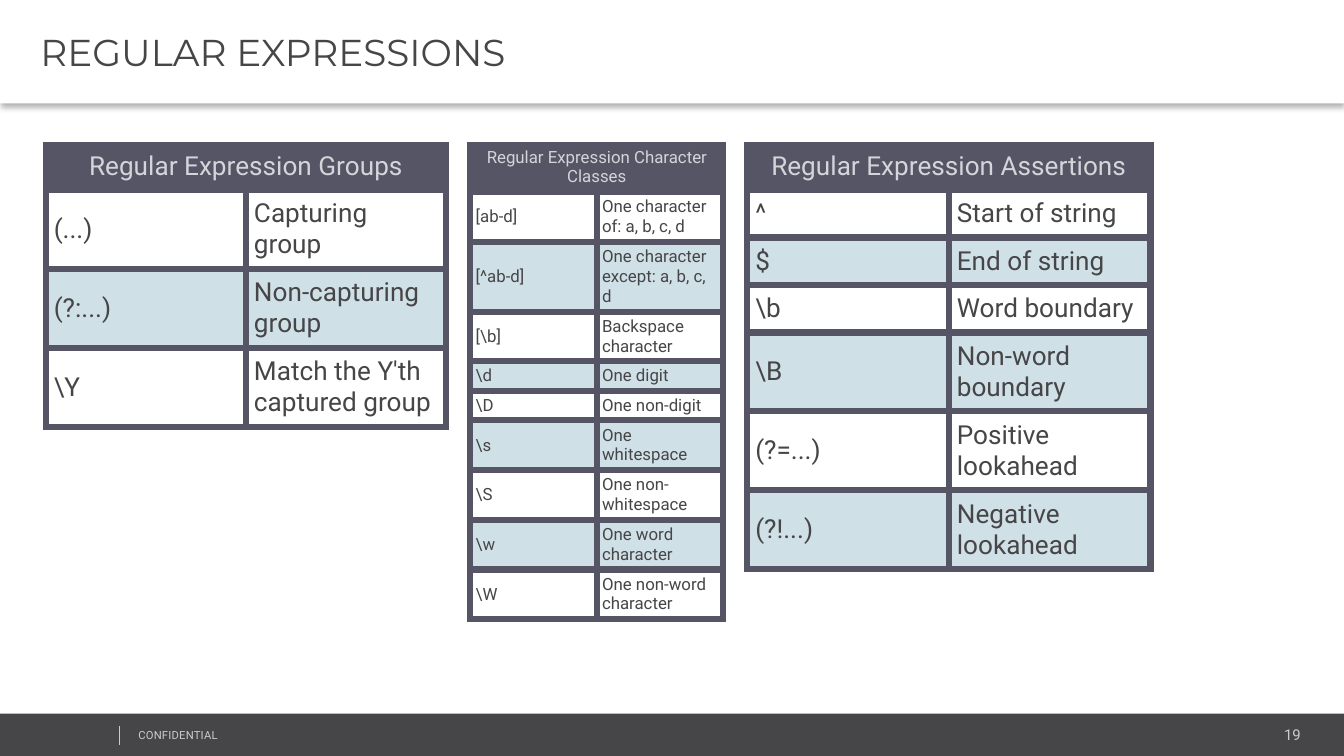
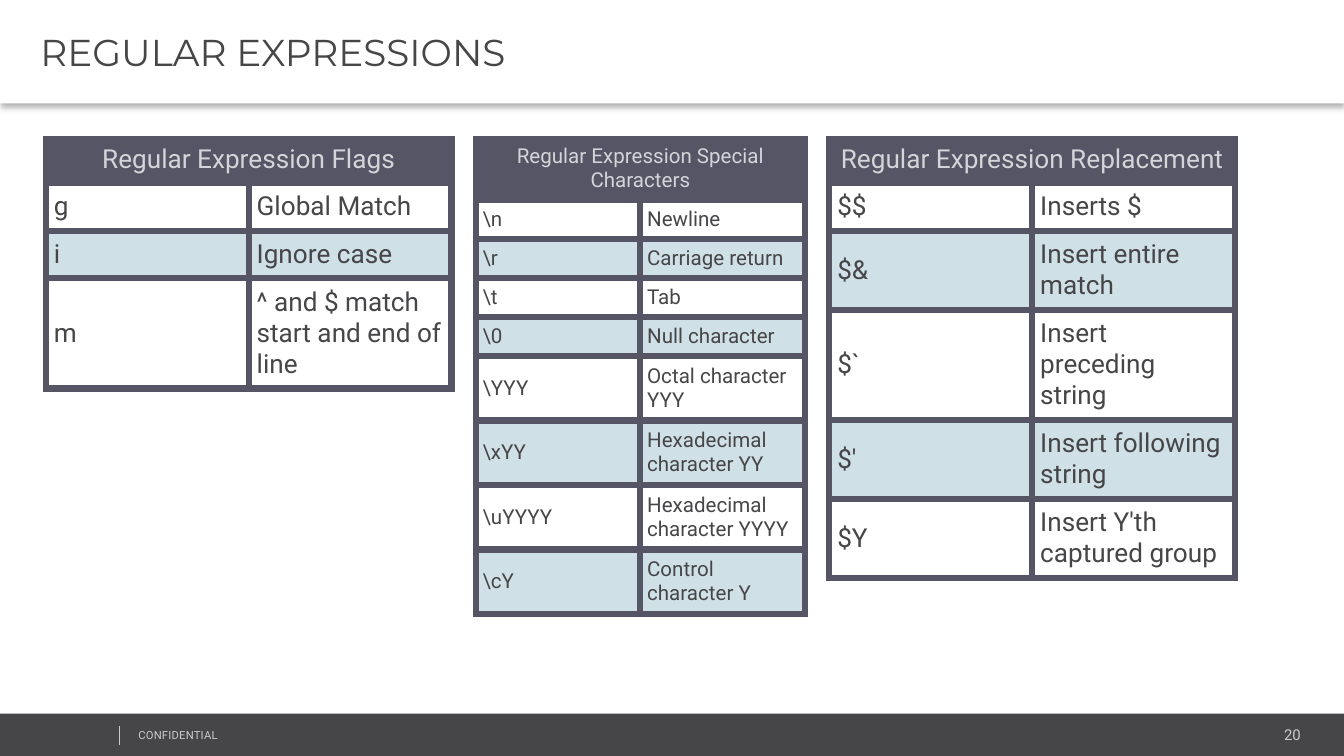
from dataclasses import dataclass

from lxml import etree
from pptx import Presentation
from pptx import util as u
from pptx.dml.color import RGBColor
from pptx.enum import shapes, text
from pptx.oxml import ns

In, Pt = u.Inches, u.Pt


@dataclass(frozen=True)
class Theme:
    white: str = "FFFFFF"
    dark: str = "464547"
    pale: str = "CCCCCC"
    head: str = "555566"
    label: str = "D4D4D9"
    tint: str = "D0E0E7"
    title_font: str = "Montserrat"
    font: str = "Roboto"
    title_size: int = 20
    page_size: int = 8
    note_size: int = 6
    rule: float = 3.75


T = Theme()

# Type size: side inset, top inset, height of a text line, rest of the row height
FIT = {14: (0.06, 0.06, 0.23, 0.12),
       11: (0.05, 0.05, 0.19, 0.10),
       9: (0.04, 0.03, 0.15, 0.07)}
LEFT, GAP = 0.34, 0.18

# Each table: heading, its lines, type size, width, rows of (code, meaning, lines)
SLIDES = [
    {"title": "REGULAR EXPRESSIONS", "page": 19, "top": 1.06, "tables": [
        ("Regular Expression Groups", 1, 14, 2.98, [
            ("(...)", "Capturing group", 2),
            ("(?:...)", "Non-capturing group", 2),
            (r"\Y", "Match the Y'th captured group", 2),
        ]),
        ("Regular Expression Character Classes", 2, 9, 1.88, [
            ("[ab-d]", "One character of: a, b, c, d", 2),
            ("[^ab-d]", "One character except: a, b, c, d", 3),
            (r"[\b]", "Backspace character", 2),
            (r"\d", "One digit", 1),
            (r"\D", "One non-digit", 1),
            (r"\s", "One whitespace", 2),
            (r"\S", "One non-whitespace", 2),
            (r"\w", "One word character", 2),
            (r"\W", "One non-word character", 2),
        ]),
        ("Regular Expression Assertions", 1, 14, 3.0, [
            ("^", "Start of string", 1),
            ("$", "End of string", 1),
            (r"\b", "Word boundary", 1),
            (r"\B", "Non-word boundary", 2),
            ("(?=...)", "Positive lookahead", 2),
            ("(?!...)", "Negative lookahead", 2),
        ]),
    ]},
    {"title": "REGULAR EXPRESSIONS", "page": 20, "top": 1.01, "tables": [
        ("Regular Expression Flags", 1, 14, 3.02, [
            ("g", "Global Match", 1),
            ("i", "Ignore case", 1),
            ("m", "^ and $ match start and end of line", 3),
        ]),
        ("Regular Expression Special Characters", 2, 11, 2.45, [
            (r"\n", "Newline", 1),
            (r"\r", "Carriage return", 1),
            (r"\t", "Tab", 1),
            (r"\0", "Null character", 1),
            (r"\YYY", "Octal character YYY", 2),
            (r"\xYY", "Hexadecimal character YY", 2),
            (r"\uYYYY", "Hexadecimal character YYYY", 2),
            (r"\cY", "Control character Y", 2),
        ]),
        ("Regular Expression Replacement", 1, 14, 3.02, [
            ("$$", "Inserts $", 1),
            ("$&", "Insert entire match", 2),
            ("$`", "Insert preceding string", 3),
            ("$'", "Insert following string", 2),
            ("$Y", "Insert Y'th captured group", 2),
        ]),
    ]},
]


def rgb(hue):
    return RGBColor.from_string(hue)


def paint(item, hue):
    item.fill.solid()
    item.fill.fore_color.rgb = rgb(hue)


def sub(node, tag, **attrs):
    return etree.SubElement(node, ns.qn(tag), attrs)


def write(para, words, size, hue, font=T.font, align=text.PP_ALIGN.LEFT):
    para.alignment = align
    run = para.add_run()
    run.text = words
    run.font.size, run.font.name, run.font.bold = Pt(size), font, False
    run.font.color.rgb = rgb(hue)
    return run


def inset(item, left, top, right, bottom):
    item.margin_left, item.margin_top = In(left), In(top)
    item.margin_right, item.margin_bottom = In(right), In(bottom)


def add_title(slide, words):
    """Turn the title placeholder into the white band with a soft shadow."""
    band = slide.shapes.title
    band.left, band.top, band.width, band.height = In(0), In(0), In(10), In(0.77)
    paint(band, T.white)
    glow = sub(sub(band._element.spPr, "a:effectLst"), "a:outerShdw",
               blurRad=str(Pt(3.1)), dist=str(Pt(2)), dir="5400000",
               algn="t", rotWithShape="0")
    sub(sub(glow, "a:srgbClr", val="000000"), "a:alpha", val="30000")
    frame = band.text_frame
    frame.auto_size = text.MSO_AUTO_SIZE.NONE
    frame.vertical_anchor = text.MSO_ANCHOR.MIDDLE
    inset(frame, 0.3, 0.04, 0.07, 0.04)
    para = frame.paragraphs[0]
    para.space_before = Pt(4)
    write(para, words, T.title_size, T.dark, T.title_font)


def add_note(slide, box, words, size, align=text.PP_ALIGN.LEFT):
    frame = slide.shapes.add_textbox(*map(In, box)).text_frame
    frame.word_wrap = True
    inset(frame, 0.07, 0.04, 0.07, 0.04)
    return write(frame.paragraphs[0], words, size, T.pale, align=align)


def add_footer(slide, page):
    bar = slide.shapes.add_shape(shapes.MSO_SHAPE.RECTANGLE,
                                 In(0), In(5.31), In(10.01), In(0.33))
    bar.shadow.inherit = False
    paint(bar, T.dark)
    bar.line.fill.background()
    add_note(slide, (8.12, 5.36, 1.63, 0.21), str(page), T.page_size,
             text.PP_ALIGN.RIGHT)
    run = add_note(slide, (0.96, 5.38, 2.53, 0.18), "CONFIDENTIAL", T.note_size)
    run.font._element.set("spc", "10")
    line = slide.shapes.add_connector(shapes.MSO_CONNECTOR.STRAIGHT,
                                      In(0.89), In(5.4), In(0.89), In(5.54))
    line.line.color.rgb = rgb(T.pale)
    line.line.width = Pt(0.25)
    sub(line._element.spPr, "a:effectLst")


def edge(cell, sides):
    """Draw the cell borders; they must come before the fill in the XML."""
    props = cell._tc.get_or_add_tcPr()
    for side in sides:
        line = sub(props, f"a:ln{side}", w=str(Pt(T.rule)))
        sub(sub(line, "a:solidFill"), "a:srgbClr", val=T.head)


def fill_cell(cell, words, size, hue, back, sides, align=text.PP_ALIGN.LEFT):
    edge(cell, sides)
    paint(cell, back)
    cell.vertical_anchor = text.MSO_ANCHOR.MIDDLE
    inset(cell, *FIT[size][:2] * 2)
    write(cell.text_frame.paragraphs[0], words, size, hue, align=align)


def add_grid(slide, left, top, heading, lines, size, width, rows):
    step, rest = FIT[size][2:]
    tall = [rest + step * n for n in (lines, *(row[2] for row in rows))]
    grid = slide.shapes.add_table(len(tall), 2, In(left), In(top),
                                  In(width), In(sum(tall))).table
    grid.first_row = grid.horz_banding = False
    style = grid._tbl.tblPr.find(ns.qn("a:tableStyleId"))
    style.text = "{2D5ABB26-0587-4C30-8999-92F81FD0307C}"
    for row, high in zip(grid.rows, tall):
        row.height = In(high)
    grid.cell(0, 0).merge(grid.cell(0, 1))
    fill_cell(grid.cell(0, 0), heading, size, T.label, T.head, "LRB",
              text.PP_ALIGN.CENTER)
    edge(grid.cell(0, 1), "RB")
    for r, row in enumerate(rows, 1):
        for c, words in enumerate(row[:2]):
            fill_cell(grid.cell(r, c), words, size, T.dark,
                      T.white if r % 2 else T.tint, "LRTB")


def main():
    deck = Presentation()
    deck.slide_width, deck.slide_height = In(10), In(10) * 9 // 16
    for page in SLIDES:
        slide = deck.slides.add_slide(deck.slide_layouts[5])
        add_footer(slide, page["page"])
        add_title(slide, page["title"])
        left = LEFT
        for heading, lines, size, width, rows in page["tables"]:
            add_grid(slide, left, page["top"], heading, lines, size, width, rows)
            left += width + GAP
    deck.save("out.pptx")


if __name__ == "__main__":
    main()
